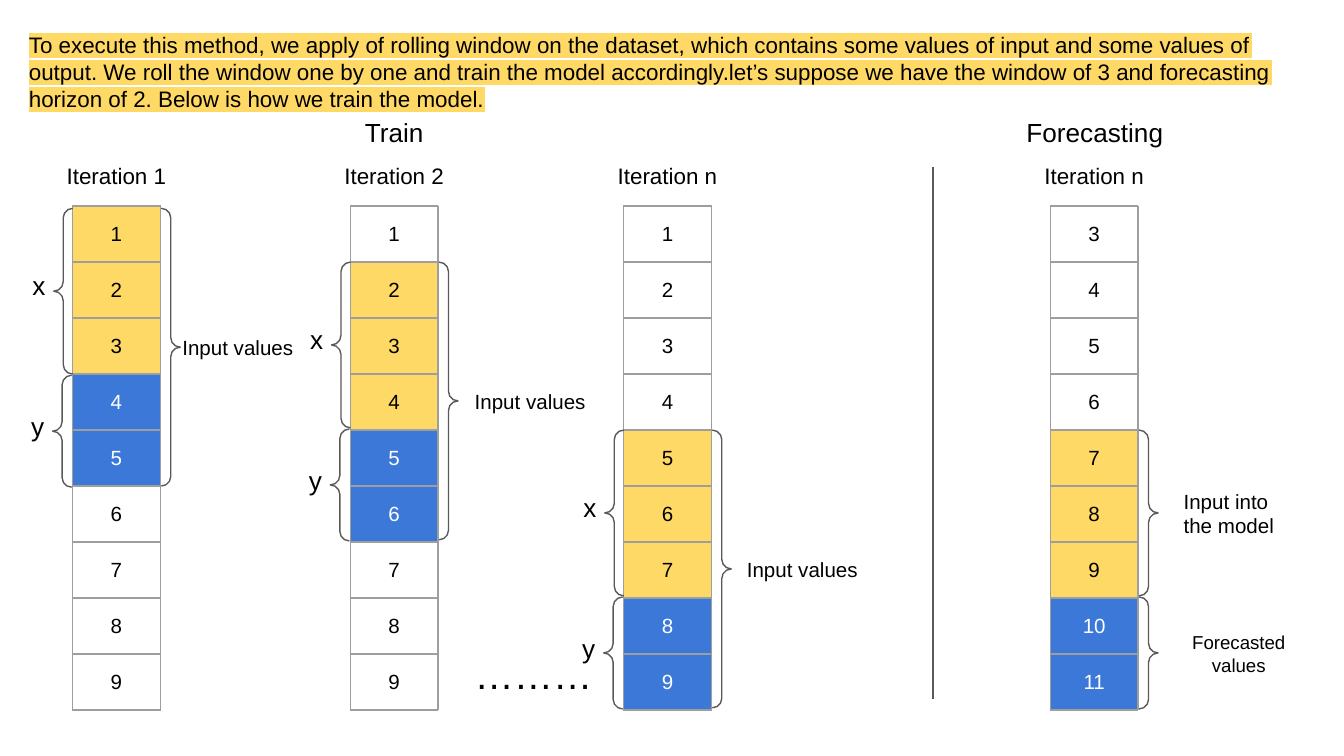
from lxml import etree
from pptx import Presentation
from pptx.dml.color import RGBColor
from pptx.enum.shapes import MSO_CONNECTOR, MSO_SHAPE
from pptx.enum.text import MSO_ANCHOR, PP_ALIGN
from pptx.oxml.ns import qn
from pptx.util import Emu, Pt

LEFT, CENTER = PP_ALIGN.LEFT, PP_ALIGN.CENTER
TOP, MIDDLE = MSO_ANCHOR.TOP, MSO_ANCHOR.MIDDLE
LEFT_BRACE, RIGHT_BRACE = MSO_SHAPE.LEFT_BRACE, MSO_SHAPE.RIGHT_BRACE
STRAIGHT = MSO_CONNECTOR.STRAIGHT

BLACK, WHITE, YELLOW, BLUE = "000000", "FFFFFF", "FFD966", "3C78D8"
GRID, INK = "9E9E9E", "595959"
FONT = "Arial"

# Content
INTRO = ("To execute this method, we apply of rolling window on the dataset, "
         "which contains some values of input and some values of output. We roll "
         "the window one by one and train the model accordingly.let’s suppose we "
         "have the window of 3 and forecasting horizon of 2. Below is how we "
         "train the model.")
PHASES = [("Train", 306, 92), ("Forecasting", 900, 155)]
# heading, column left, first value, first window row, brace nudge, label offset
TRAINING = [
    ("Iteration 1", 65, 1, 0, 2, 86),
    ("Iteration 2", 313, 1, 1, 0, 99),
    ("Iteration n", 557, 1, 4, 0, 98),
]
FORECAST = ("Iteration n", 938, 3, 4)
FORECAST_LABELS = [("Input into the model", LEFT, 11, 107),
                   ("Forecasted values", CENTER, 10, 104)]

# Layout: 120 px to the inch
PX = 7620
ROWS, ROW_H, COL_W, COL_TOP = 9, 50, 78, 184
INPUTS, OUTPUTS = 3, 2
BRACE_W, PAD = 17, 12
INPUT_SPAN, OUTPUT_SPAN, WINDOW_SPAN = (0, 148), (149, 100), (0, 248)


def px(*lengths):
    return [Emu(n * PX) for n in lengths]


def color(hex_code):
    return RGBColor.from_string(hex_code)


def style(paragraph, size, ink=BLACK, align=CENTER):
    paragraph.alignment = align
    for run in paragraph.runs:
        run.font.size = Pt(size)
        run.font.name = FONT
        run.font.color.rgb = color(ink)


def add_text(text, x, y, w, h, size, align=CENTER, anchor=MIDDLE):
    frame = slide.shapes.add_textbox(*px(x, y, w, h)).text_frame
    frame.word_wrap = True
    frame.vertical_anchor = anchor
    (frame.margin_left, frame.margin_top,
     frame.margin_right, frame.margin_bottom) = px(PAD, PAD, PAD, PAD)
    frame.text = text
    style(frame.paragraphs[0], size, align=align)
    return frame


def add_brace(kind, x, top, span):
    brace = slide.shapes.add_shape(kind, *px(x, top + span[0], BRACE_W, span[1]))
    brace.adjustments[0] = 0.5
    brace.adjustments[1] = 0.5
    brace.shadow.inherit = False
    brace.fill.background()
    brace.line.color.rgb = color(INK)
    brace.line.width = Pt(0.75)


def add_span_label(text, x, top, span, size=11, align=LEFT):
    add_text(text, x, top + span[0] + span[1] // 2 - 20, 128, 41, size, align)


def border_cell(cell):
    props = cell._tc.get_or_add_tcPr()
    for place, side in enumerate(("a:lnL", "a:lnR", "a:lnT", "a:lnB")):
        line = etree.Element(qn(side), w=str(Pt(0.75)))
        fill = etree.SubElement(line, qn("a:solidFill"))
        etree.SubElement(fill, qn("a:srgbClr"), val=GRID)
        props.insert(place, line)


def add_column(heading, x, first_value, window_row):
    table = slide.shapes.add_table(
        ROWS, 1, *px(x, COL_TOP, COL_W, ROWS * ROW_H)).table
    table.first_row = table.horz_banding = False
    for i in range(ROWS):
        cell = table.cell(i, 0)
        step = i - window_row
        is_output = INPUTS <= step < INPUTS + OUTPUTS
        is_input = 0 <= step < INPUTS
        cell.fill.solid()
        cell.fill.fore_color.rgb = color(
            BLUE if is_output else YELLOW if is_input else WHITE)
        cell.vertical_anchor = MIDDLE
        (cell.margin_left, cell.margin_top,
         cell.margin_right, cell.margin_bottom) = px(PAD, PAD, PAD, PAD)
        cell.text_frame.text = str(first_value + i)
        style(cell.text_frame.paragraphs[0], 11, WHITE if is_output else BLACK)
        border_cell(cell)
    add_text(heading, x - 19, 133, 116, 41, 12, anchor=TOP)
    return COL_TOP + window_row * ROW_H


prs = Presentation()
prs.slide_width, prs.slide_height = px(1200, 675)
slide = prs.slides.add_slide(prs.slide_layouts[6])

# Highlighted introduction
intro = add_text(INTRO, 14, 11, 1172, 106, 12, LEFT)
intro_props = intro.paragraphs[0].runs[0].font._element
highlight = etree.Element(qn("a:highlight"))
etree.SubElement(highlight, qn("a:srgbClr"), val=YELLOW)
intro_props.find(qn("a:solidFill")).addnext(highlight)

# Phase headings and the divider between them
for phase, x, width in PHASES:
    add_text(phase, x, 102, width, 31, 14)
divider = slide.shapes.add_connector(STRAIGHT, *px(833, 149, 833, 624))
divider.line.color.rgb = color(INK)
divider.line.width = Pt(1.5)
etree.SubElement(divider._element.spPr, qn("a:effectLst"))

# Training iterations
for heading, x, first_value, window_row, nudge, label_offset in TRAINING:
    top = add_column(heading, x, first_value, window_row) + nudge
    add_brace(LEFT_BRACE, x - 17, top, INPUT_SPAN)
    add_brace(LEFT_BRACE, x - 18, top, OUTPUT_SPAN)
    add_brace(RIGHT_BRACE, x + 79, top, WINDOW_SPAN)
    add_text("x", x - 48, top + 53, 30, 31, 14)
    add_text("y", x - 49, top + 174, 30, 41, 14)
    add_span_label("Input values", x + label_offset, top, WINDOW_SPAN)
add_text("………", 412, 569, 137, 48, 21, LEFT, TOP)

# Forecasting iteration
forecast_x = FORECAST[1]
forecast_top = add_column(*FORECAST)
for span, (label, align, size, offset) in zip(
        (INPUT_SPAN, OUTPUT_SPAN), FORECAST_LABELS):
    add_brace(RIGHT_BRACE, forecast_x + 79, forecast_top, span)
    add_span_label(label, forecast_x + offset, forecast_top, span, size, align)

prs.save("out.pptx")
